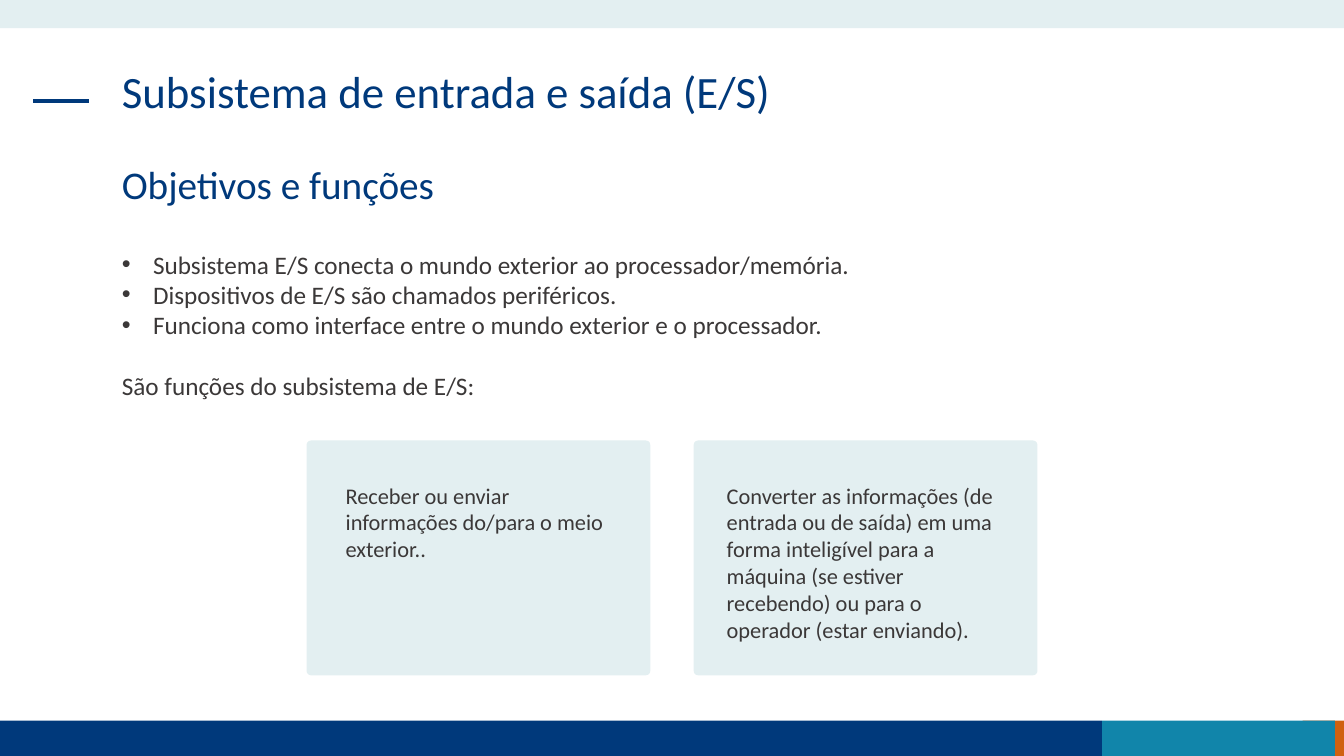
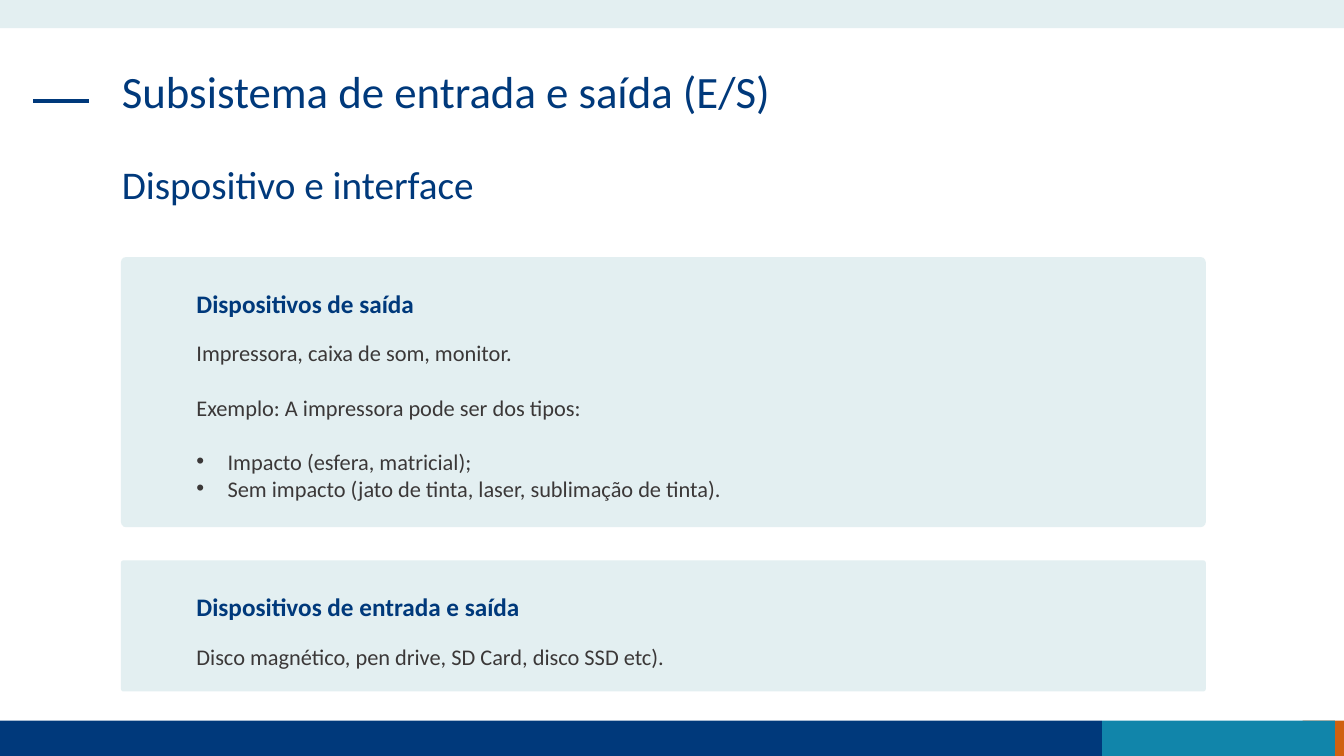
import pptx
import pptx.dml.color
import pptx.enum.shapes
import pptx.oxml.ns
import pptx.util
import lxml.etree

Inches = pptx.util.Inches
Pt = pptx.util.Pt
RGBColor = pptx.dml.color.RGBColor
KIND = pptx.enum.shapes.MSO_SHAPE
LINE = pptx.enum.shapes.MSO_CONNECTOR
qn = pptx.oxml.ns.qn

NAVY = RGBColor(0x00, 0x39, 0x7B)
TEAL = RGBColor(0x11, 0x85, 0xAA)
RUST = RGBColor(0xD0, 0x61, 0x10)
PALE = RGBColor(0xE3, 0xEF, 0xF1)
GRAY = RGBColor(0x3B, 0x38, 0x38)

WIDE, HIGH = 13.33, 7.5
FOOT = 7.15
BANDS = [
    (12.92, FOOT, 0.41, HIGH - FOOT, RUST),
    (0, FOOT, 10.93, HIGH - FOOT, NAVY),
    (10.93, FOOT, 2.31, HIGH - FOOT, TEAL),
    (0, 0, WIDE, 0.28, PALE),
]

TIGHT = {"line_spacing": 0.9}
STYLES = {
    "title": (NAVY, {"name": "Calibri", "size": Pt(32)}, TIGHT),
    "topic": (NAVY, {"name": "Calibri", "size": Pt(28)}, TIGHT),
    "head": (NAVY, {"name": "Calibri", "size": Pt(18), "bold": True}, {}),
    "body": (GRAY, {"name": "Calibri", "size": Pt(18)}, {}),
    "note": (GRAY, {"name": "Calibri", "size": Pt(16)}, {}),
}
LEAD = 1.22

TITLE = "Subsistema de entrada e saída (E/S)"
GOALS = [
    ("bullet", "Subsistema E/S conecta o mundo exterior ao processador/memória."),
    ("bullet", "Dispositivos de E/S são chamados periféricos."),
    ("bullet", "Funciona como interface entre o mundo exterior e o processador."),
    ("gap", "São funções do subsistema de E/S:"),
]
TASKS = [
    (0.29, "Receber ou enviar informações do/para o meio exterior.."),
    (0.23, "Converter as informações (de entrada ou de saída) em uma forma "
           "inteligível para a máquina (se estiver recebendo) ou para o "
           "operador (estar enviando)."),
]
PANELS = [
    (2.55, 2.68, "Dispositivos de saída", [
        ("plain", "Impressora, caixa de som, monitor."),
        ("gap", "Exemplo: A impressora pode ser dos tipos:"),
        ("gap bullet", "Impacto (esfera, matricial);"),
        ("bullet", "Sem impacto (jato de tinta, laser, sublimação de tinta)."),
    ]),
    (5.56, 1.3, "Dispositivos de entrada e saída", [
        ("plain", "Disco magnético, pen drive, SD Card, disco SSD etc)."),
    ]),
]


def assign(thing, values):
    for key, value in values.items():
        setattr(thing, key, value)


def add_block(slide, kind, x, y, w, h, fill):
    block = slide.shapes.add_shape(kind, Inches(x), Inches(y), Inches(w), Inches(h))
    block.shadow.inherit = False
    block.fill.solid()
    block.fill.fore_color.rgb = fill
    block.line.fill.background()
    return block


def add_card(slide, x, y, w, h):
    add_block(slide, KIND.ROUNDED_RECTANGLE, x, y, w, h, PALE).adjustments[0] = 0.019


def add_bullet(para):
    props = para._p.get_or_add_pPr()
    props.set("marL", str(Inches(0.31)))
    props.set("indent", str(-Inches(0.31)))
    lxml.etree.SubElement(props, qn("a:buFont")).set("typeface", "Arial")
    lxml.etree.SubElement(props, qn("a:buChar")).set("char", "•")


def add_text(slide, x, y, w, h, style, lines):
    color, font, layout = STYLES[style]
    frame = slide.shapes.add_textbox(Inches(x), Inches(y), Inches(w), Inches(h)).text_frame
    frame.word_wrap = True
    for i, (form, text) in enumerate(lines):
        para = frame.add_paragraph() if i else frame.paragraphs[0]
        if "bullet" in form:
            add_bullet(para)
        if "gap" in form:
            para.space_before = Pt(round(font["size"].pt * LEAD, 1))
        assign(para, layout)
        run = para.add_run()
        run.text = text
        assign(run.font, font)
        run.font.color.rgb = color


def add_frame(slide, layout):
    for hold in list(layout.placeholders):
        layout.shapes.element.remove(hold.element)
    parts = [add_block(slide, KIND.RECTANGLE, *band) for band in BANDS]
    dash = slide.shapes.add_connector(
        LINE.STRAIGHT, Inches(0.33), Inches(1), Inches(0.88), Inches(1))
    dash.line.color.rgb = NAVY
    dash.line.width = Pt(3)
    lxml.etree.SubElement(dash.element.spPr, qn("a:effectLst"))
    for part in parts + [dash]:
        layout.shapes.element.append(part.element)


def add_heads(slide, topic):
    add_text(slide, 1.11, 0.64, 11.1, 0.94, "title", [("plain", TITLE)])
    add_text(slide, 1.11, 1.59, 11.1, 0.94, "topic", [("plain", topic)])


def add_goals(slide):
    add_heads(slide, "Objetivos e funções")
    add_text(slide, 1.11, 2.42, 8.49, 1.62, "body", GOALS)
    for i, (inset, text) in enumerate(TASKS):
        x = 3.04 + i * 3.84
        add_card(slide, x, 4.37, 3.41, 2.33)
        add_text(slide, x + inset, 4.73, 2.96, 1.72, "note", [("plain", text)])


def add_panels(slide):
    add_heads(slide, "Dispositivo e interface")
    for y, h, head, lines in PANELS:
        add_card(slide, 1.2, y, 10.76, h)
        add_text(slide, 1.85, y + 0.26, 8.34, 0.4, "head", [("plain", head)])
        add_text(slide, 1.85, y + 0.77, 9.63, h - 0.94, "note", lines)


def main():
    deck = pptx.Presentation()
    assign(deck, {"slide_width": Inches(WIDE), "slide_height": Inches(HIGH)})
    layout = deck.slide_layouts[6]
    first, second = [deck.slides.add_slide(layout) for _ in range(2)]
    add_frame(first, layout)
    add_goals(first)
    add_panels(second)
    deck.save("out.pptx")


if __name__ == "__main__":
    main()
